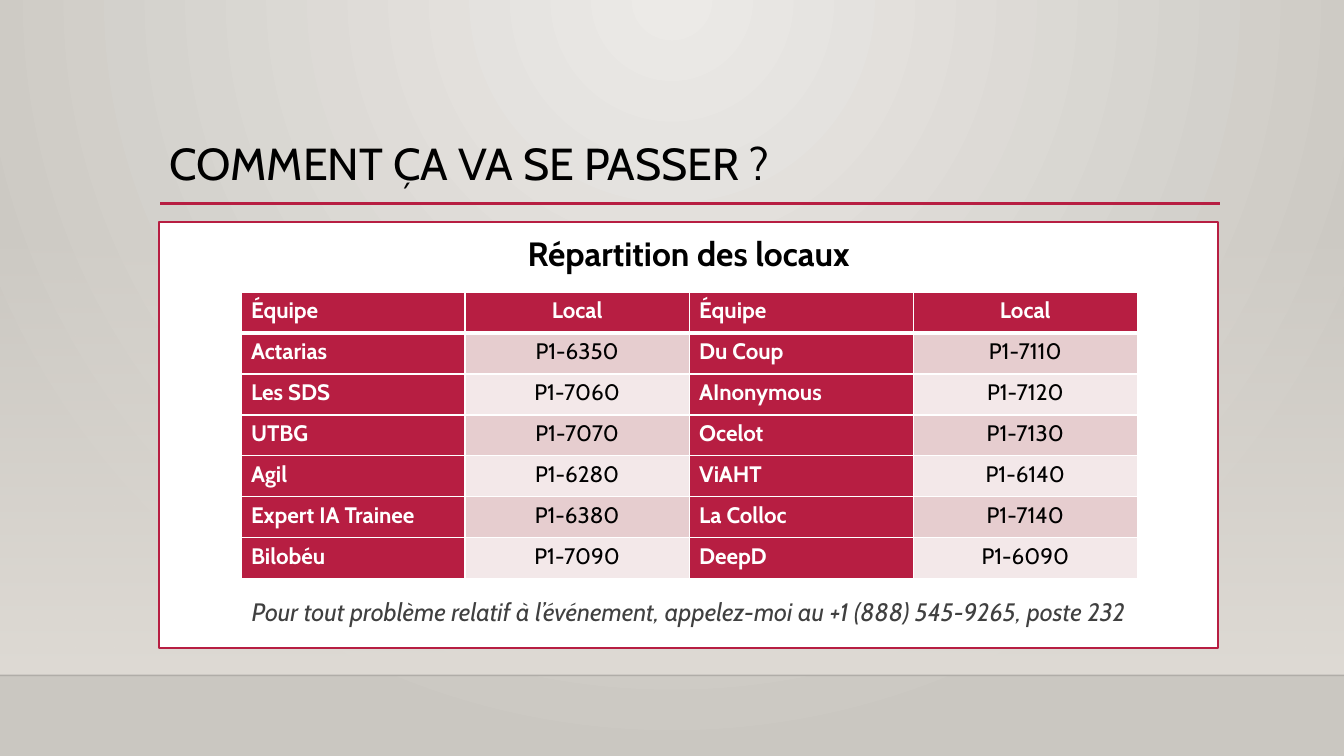
from pptx import Presentation
from pptx.dml.color import RGBColor
from pptx.enum.shapes import MSO_CONNECTOR as Link, MSO_SHAPE as Shape
from pptx.enum.text import MSO_ANCHOR as Anchor, PP_ALIGN as Align
from pptx.oxml import parse_xml
from pptx.oxml.ns import nsdecls, qn
from pptx.util import Inches, Pt
from lxml.etree import SubElement

TITLE = "COMMENT ÇA VA SE PASSER ?"
HEAD = "Répartition des locaux"
NOTE = ("Pour tout problème relatif à l’événement, "
        "appelez-moi au +1 (888) 545-9265, poste 232")
ROWS = [
    ("Équipe", "Local", "Équipe", "Local"),
    ("Actarias", "P1-6350", "Du Coup", "P1-7110"),
    ("Les SDS", "P1-7060", "AInonymous", "P1-7120"),
    ("UTBG", "P1-7070", "Ocelot", "P1-7130"),
    ("Agil", "P1-6280", "ViAHT", "P1-6140"),
    ("Expert IA Trainee", "P1-6380", "La Colloc", "P1-7140"),
    ("Bilobéu", "P1-7090", "DeepD", "P1-6090"),
]
THEME = {
    "font": "Cabin", "red": "B71E42", "white": "FFFFFF", "black": "000000",
    "grey": "404040", "bands": ("F3E8E9", "E6CDCF"),
    "back": ("ECEAE7", "CAC7C1"), "wall": ("DFDBD5", "DFDBD5"),
    "title": 32, "head": 24, "note": 18, "cell": 16,
}
WIDE, HIGH = 13.33, 7.5
FLOOR = 6.7
LEFT, SPAN = 1.58, 10.5
GRID = (2.39, 2.9, 8.89, 2.84)


def rgb(code):
    return RGBColor.from_string(code)


def blend(fill, codes):
    fill.gradient()
    for stop, code in zip(fill.gradient_stops, codes):
        stop.color.rgb = rgb(code)


def fade(color, share):
    """Set the opacity of a colour element, in percent."""
    SubElement(color, qn("a:alpha")).set("val", str(share * 1000))


def write(frame, text, size, color, align=Align.LEFT, space=1.0, **style):
    para = frame.paragraphs[0]
    para.alignment, para.line_spacing = align, space
    run = para.add_run()
    run.text = text
    run.font.color.rgb = rgb(color)
    look = {"name": THEME["font"], "size": Pt(size), **style}
    for key, value in look.items():
        setattr(run.font, key, value)


def setup(frame, **form):
    frame.word_wrap = True
    for key, value in form.items():
        setattr(frame, key, value)


def box(slide, x, y, w, h):
    return slide.shapes.add_textbox(*map(Inches, (x, y, w, h))).text_frame


def panel(slide, x, y, w, h):
    shape = slide.shapes.add_shape(Shape.RECTANGLE, *map(Inches, (x, y, w, h)))
    shape.shadow.inherit = False
    return shape


def rule(slide, x, y, end, color, width):
    line = slide.shapes.add_connector(Link.STRAIGHT, *map(Inches, (x, y, end, y)))
    line.line.color.rgb = rgb(color)
    line.line.width = Pt(width)
    SubElement(line._element.spPr, qn("a:effectLst"))
    return line


def edge(cell, sides):
    """Draw white borders; sides maps a side letter to a width in points."""
    props = cell._tc.get_or_add_tcPr()
    for spot, (side, width) in enumerate(sides.items()):
        props.insert(spot, parse_xml(
            f'<a:ln{side} {nsdecls("a")} w="{Pt(width)}"><a:solidFill>'
            f'<a:srgbClr val="{THEME["white"]}"/></a:solidFill></a:ln{side}>'))


def scene(slide):
    back = slide.background.fill
    blend(back, THEME["back"])
    grad = slide._element.find(".//" + qn("a:gradFill"))
    grad.replace(grad.find(qn("a:lin")), parse_xml(
        f'<a:path {nsdecls("a")} path="circle">'
        '<a:fillToRect l="43000" t="0" r="43000" b="100000"/></a:path>'))
    wall = panel(slide, 0, 2.21, WIDE, FLOOR - 2.21)
    blend(wall.fill, THEME["wall"])
    wall.fill.gradient_angle = 270
    wall.line.fill.background()
    fade(wall._element.spPr.find(".//" + qn("a:srgbClr")), 0)
    line = rule(slide, 0, FLOOR, WIDE, THEME["black"], 1)
    fade(line._element.spPr.find(".//" + qn("a:srgbClr")), 20)
    rule(slide, 1.59, 2.02, 12.1, THEME["red"], 2.5)


def rooms(slide):
    frame = slide.shapes.add_table(len(ROWS), len(ROWS[0]), *map(Inches, GRID))
    table = frame.table
    for col in table.columns:
        col.width = Inches(GRID[2] / len(ROWS[0]))
    for r, row in enumerate(ROWS):
        table.rows[r].height = Inches(GRID[3] / len(ROWS))
        for c, text in enumerate(row):
            cell = table.cell(r, c)
            room = c % 2 == 1
            dark = r == 0 or not room
            cell.fill.solid()
            cell.fill.fore_color.rgb = rgb(THEME["red"] if dark else THEME["bands"][r % 2])
            edge(cell, {"L": 1, "R": 1, "T": 3 if r == 1 else 1, "B": 3 if r == 0 else 1})
            write(cell.text_frame, text, THEME["cell"],
                  THEME["white"] if dark else THEME["black"],
                  Align.CENTER if room else Align.LEFT, bold=dark)


def main():
    deck = Presentation()
    deck.slide_width, deck.slide_height = Inches(WIDE), Inches(HIGH)
    slide = deck.slides.add_slide(deck.slide_layouts[6])
    scene(slide)

    title = box(slide, LEFT, 0.88, SPAN, 1.16)
    setup(title, vertical_anchor=Anchor.BOTTOM, margin_bottom=Inches(0.15))
    write(title, TITLE, THEME["title"], THEME["black"], space=0.9)

    card = panel(slide, LEFT, 2.2, SPAN, 4.23)
    card.fill.solid()
    card.fill.fore_color.rgb = rgb(THEME["white"])
    card.line.color.rgb = rgb(THEME["red"])
    card.line.width = Pt(1.25)
    setup(card.text_frame, vertical_anchor=Anchor.TOP, margin_top=Inches(0.07))
    write(card.text_frame, HEAD, THEME["head"], THEME["black"],
          Align.CENTER, 1.1, bold=True)

    rooms(slide)
    note = box(slide, LEFT, 5.8, SPAN, 0.5)
    setup(note, vertical_anchor=Anchor.MIDDLE)
    write(note, NOTE, THEME["note"], THEME["grey"], Align.CENTER, 1.1, italic=True)
    deck.save("out.pptx")


if __name__ == "__main__":
    main()
